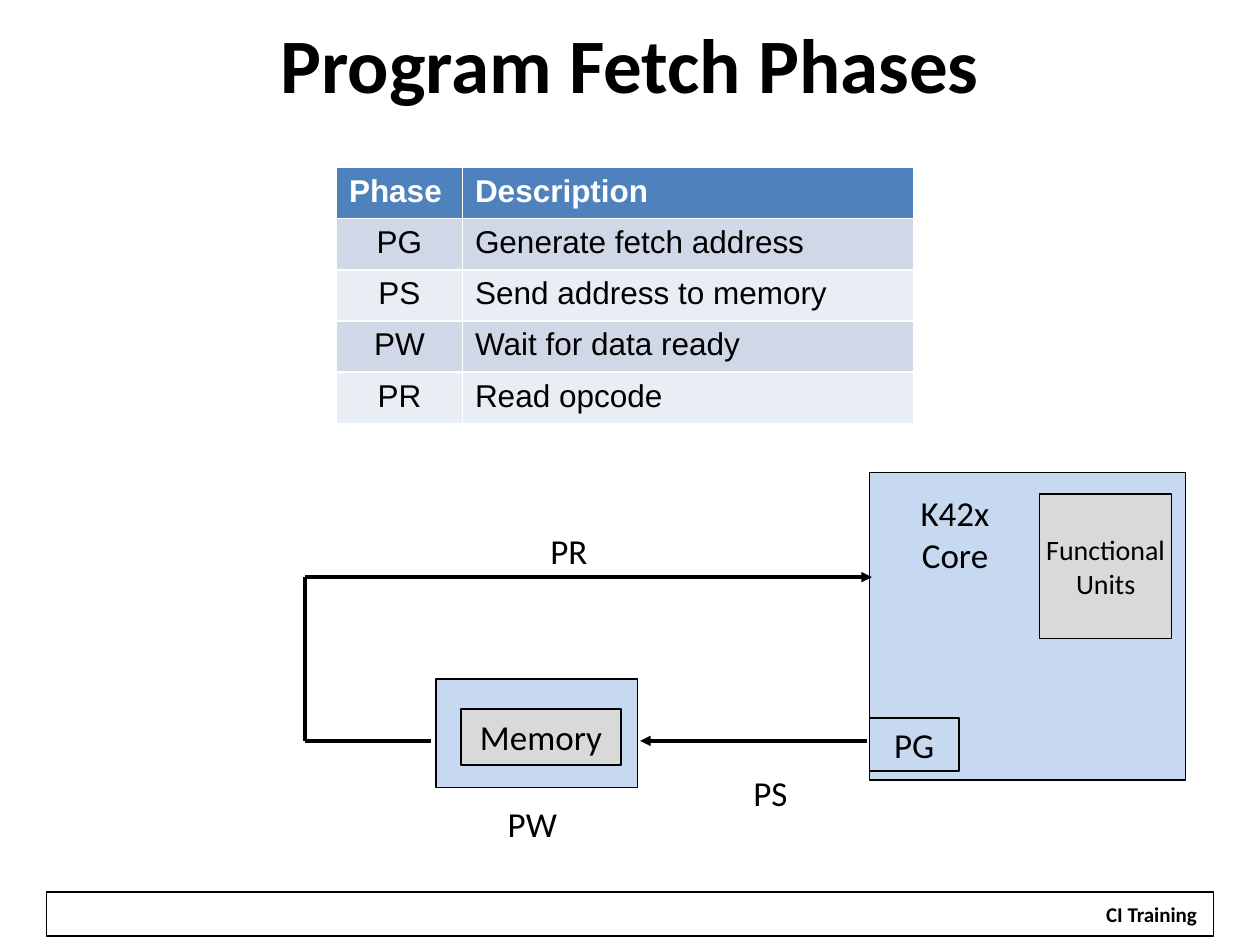
from lxml import etree
from pptx import Presentation
from pptx.dml.color import RGBColor
from pptx.enum import shapes, text
from pptx.oxml import ns
from pptx.util import Inches, Pt

COLORS = {
    "ink": "000000",
    "paper": "FFFFFF",
    "block": "C6D9F1",
    "unit": "D9D9D9",
    "header": "4F81BD",
    "band_dark": "D0D8E8",
    "band_light": "E9EDF4",
}
PHASES = [
    ("Phase", "Description"),
    ("PG", "Generate fetch address"),
    ("PS", "Send address to memory"),
    ("PW", "Wait for data ready"),
    ("PR", "Read opcode"),
]
LABEL_SIZE = (0.65, 0.42)
LABEL_INSETS = (0.09, 0.04)
BLOCK_INSETS = (0.1, 0.05)


def color(name):
    return RGBColor.from_string(COLORS[name])


def style_font(font, size, name="Calibri", ink="ink", bold=False):
    font.name, font.size, font.bold = name, Pt(size), bold
    font.color.rgb = color(ink)


def write(shape, words, size=20, insets=BLOCK_INSETS, wrap=True, bold=False,
          anchor=text.MSO_ANCHOR.TOP):
    frame = shape.text_frame
    frame.text = words
    frame.word_wrap = wrap
    frame.vertical_anchor = anchor
    frame.margin_left = frame.margin_right = Inches(insets[0])
    frame.margin_top = frame.margin_bottom = Inches(insets[1])
    for para in frame.paragraphs:
        para.alignment = text.PP_ALIGN.CENTER
        style_font(para.font, size, bold=bold)


def add_block(page, left, top, width, height, fill=None, line=None):
    block = page.shapes.add_shape(
        shapes.MSO_SHAPE.RECTANGLE,
        Inches(left), Inches(top), Inches(width), Inches(height))
    block.shadow.inherit = False
    if fill:
        block.fill.solid()
        block.fill.fore_color.rgb = color(fill)
    else:
        block.fill.background()
    if line:
        block.line.color.rgb = color("ink")
        block.line.width = Pt(line)
    else:
        block.line.fill.background()
    return block


def add_label(page, left, top, words):
    box = page.shapes.add_textbox(
        Inches(left), Inches(top), *map(Inches, LABEL_SIZE))
    write(box, words, insets=LABEL_INSETS)


def add_line(page, start, end, arrow=False):
    line = page.shapes.add_connector(
        shapes.MSO_CONNECTOR.STRAIGHT, *map(Inches, (*start, *end)))
    line.line.color.rgb = color("ink")
    line.line.width = Pt(2)
    if arrow:
        etree.SubElement(line.line._get_or_add_ln(), ns.qn("a:tailEnd"),
                         type="triangle")
    etree.SubElement(line._element.spPr, ns.qn("a:effectLst"))


def add_title(page, left, top, width, height):
    title = page.shapes.title
    title.left, title.top = Inches(left), Inches(top)
    title.width, title.height = Inches(width), Inches(height)
    write(title, "Program Fetch Phases", 44, bold=True,
          anchor=text.MSO_ANCHOR.MIDDLE)


def add_footer(page, left, top, width, height):
    add_block(page, left, top, width, height, line=0.75)
    tag = add_block(page, left + width - 0.96, top + 0.03, 0.94, 0.3, "paper")
    write(tag, "CI Training", 12, wrap=False, bold=True)


def add_phase_table(page, left, top, width, height):
    table = page.shapes.add_table(
        len(PHASES), 2, Inches(left), Inches(top),
        Inches(width), Inches(height)).table
    table.columns[0].width = Inches(1)
    table.columns[1].width = Inches(width - 1)
    for row, values in enumerate(PHASES):
        header = row == 0
        band = "band_dark" if row % 2 else "band_light"
        for column, value in enumerate(values):
            cell = table.cell(row, column)
            cell.fill.solid()
            cell.fill.fore_color.rgb = color("header" if header else band)
            cell.text = value
            para = cell.text_frame.paragraphs[0]
            if column == 0 and not header:
                para.alignment = text.PP_ALIGN.CENTER
            style_font(para.font, 18, "Arial",
                       "paper" if header else "ink", header)


def add_core(page, left, top, width, height):
    add_block(page, left, top, width, height, "block", 1)
    name = add_block(page, left + 0.11, top + 0.1, 1.14, 0.81, "block")
    write(name, "K42x\vCore")
    units = add_block(page, left + 1.35, top + 0.17, 1.05, 1.15, "unit", 0.75)
    write(units, "Functional\nUnits", 16, wrap=False,
          anchor=text.MSO_ANCHOR.MIDDLE)
    generate = add_block(page, left, top + 1.95, 0.71, 0.42, line=1)
    write(generate, "PG", insets=LABEL_INSETS)


def add_memory(page, left, top, width, height):
    add_block(page, left, top, width, height, "block", 1)
    memory = add_block(page, left + 0.2, top + 0.24, 1.27, 0.44, "unit", 1)
    write(memory, "Memory")
    add_label(page, left + 0.44, top + height + 0.08, "PW")


def add_fetch_paths(page, left, top, width, height):
    right, bottom = left + width, top + height
    # Address sent from the core to memory
    add_line(page, (right - 0.04, bottom), (left + 2.66, bottom), arrow=True)
    add_label(page, left + 3.37, bottom + 0.2, "PS")
    # Opcode read back into the core
    add_line(page, (left + 1, bottom), (left, bottom))
    add_line(page, (left, bottom), (left, top))
    add_line(page, (left, top), (right, top), arrow=True)
    add_label(page, left + 1.77, top - 0.42, "PR")


def main():
    deck = Presentation()
    deck.slide_width, deck.slide_height = Inches(10), Inches(7.5)
    page = deck.slides.add_slide(deck.slide_layouts[5])
    add_footer(page, 0.37, 7.08, 9.26, 0.35)
    add_title(page, 0.5, 0.08, 9, 0.83)
    add_phase_table(page, 2.67, 1.33, 4.58, 2.03)
    # Fetch diagram
    add_core(page, 6.9, 3.75, 2.51, 2.44)
    add_memory(page, 3.46, 5.39, 1.6, 0.86)
    add_fetch_paths(page, 2.42, 4.58, 4.5, 1.3)
    deck.save("out.pptx")


if __name__ == "__main__":
    main()
